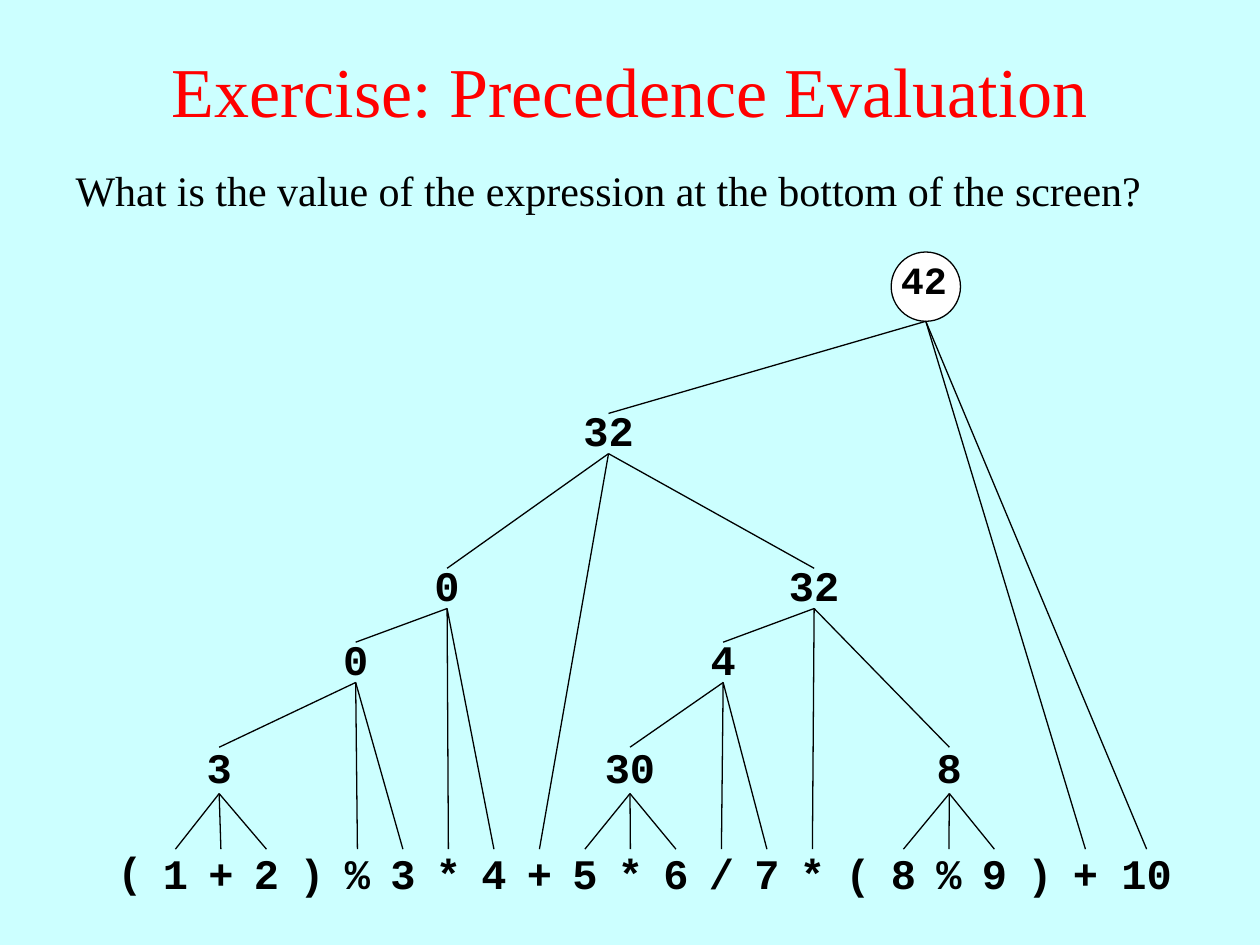
from dataclasses import dataclass

from lxml import etree
from pptx import Presentation
from pptx.dml.color import RGBColor
from pptx.enum.shapes import MSO_CONNECTOR, MSO_SHAPE
from pptx.enum.text import MSO_ANCHOR, MSO_AUTO_SIZE, PP_ALIGN
from pptx.oxml.ns import qn
from pptx.util import Pt

RECT, OVAL = MSO_SHAPE.RECTANGLE, MSO_SHAPE.OVAL
LINE = MSO_CONNECTOR.STRAIGHT
MID, TOP = MSO_ANCHOR.MIDDLE, MSO_ANCHOR.TOP
CENTER, LEFT = PP_ALIGN.CENTER, PP_ALIGN.LEFT
NO_FIT, GROW = MSO_AUTO_SIZE.NONE, MSO_AUTO_SIZE.SHAPE_TO_FIT_TEXT


@dataclass(frozen=True)
class Theme:
    back: RGBColor = RGBColor(0xCC, 0xFF, 0xFF)
    ink: RGBColor = RGBColor(0, 0, 0)
    red: RGBColor = RGBColor(0xFF, 0, 0)
    white: RGBColor = RGBColor(0xFF, 0xFF, 0xFF)
    serif: str = "Times New Roman"
    mono: str = "Courier New"
    head: int = 40
    text: int = 24
    root: int = 22
    rule: float = 0.75


THEME = Theme()

# Expression tokens: a row at an even pitch, the last one set further right
TOKENS = "( 1 + 2 ) % 3 * 4 + 5 * 6 / 7 * ( 8 % 9 ) + 10".split()
ROW_X, ROW_Y, PITCH, LAST_X = 62, 485.25, 26, 643
CELL_W, CELL_H, LOW_H = 24.5, 26.5, 23

# Tree levels: top and height
LEVELS = [(427, CELL_H), (367, LOW_H), (324.75, LOW_H), (236.25, LOW_H)]

# Name: value, middle x, level, children (token index or node name)
NODES = {
    "sum": ("3", 125.25, 0, (1, 2, 3)),
    "mod": ("0", 203.25, 1, ("sum", 5, 6)),
    "left": ("0", 255.5, 2, ("mod", 7, 8)),
    "prod": ("30", 360, 0, (10, 11, 12)),
    "quot": ("4", 413.25, 1, ("prod", 13, 14)),
    "rest": ("8", 542.5, 0, (17, 18, 19)),
    "right": ("32", 465.25, 2, ("quot", 15, "rest")),
    "total": ("32", 347.75, 3, ("left", 9, "right")),
}
ROOT_KIDS = ("total", 21, 22)


def place(shape, x, y, w, h):
    shape.left, shape.top, shape.width, shape.height = map(Pt, (x, y, w, h))


def write(shape, text, size, face, color=THEME.ink, bold=False, align=CENTER,
          anchor=MID, wrap=False, fit=NO_FIT, pitch=1.0):
    frame = shape.text_frame
    frame.text = text
    frame.word_wrap = wrap
    frame.auto_size = fit
    frame.vertical_anchor = anchor
    para = frame.paragraphs[0]
    para.alignment = align
    para.line_spacing = pitch
    para.space_before = Pt(0)
    font = para.runs[0].font
    font.size, font.name, font.bold = Pt(size), face, bold
    font.color.rgb = color


def add_cell(slide, text, x, y, h, pitch=1.0):
    cell = slide.shapes.add_shape(RECT, Pt(x), Pt(y), Pt(CELL_W), Pt(h))
    cell.shadow.inherit = False
    cell.fill.solid()
    cell.fill.fore_color.rgb = THEME.back
    cell.line.fill.background()
    write(cell, text, THEME.text, THEME.mono, bold=True, pitch=pitch)
    return cell


def add_edge(slide, top, kid, joined=True):
    x = top.left + top.width // 2
    y = top.top + top.height
    edge = slide.shapes.add_connector(LINE, x, y, x, y)
    if joined:
        edge.begin_connect(top, 2)
    edge.end_connect(kid, 0)
    edge.line.color.rgb = THEME.ink
    edge.line.width = Pt(THEME.rule)
    etree.SubElement(edge.element.spPr, qn("a:effectLst"))


def add_root(slide):
    disc = slide.shapes.add_shape(OVAL, Pt(509.25), Pt(144), Pt(39.6), Pt(39.6))
    disc.shadow.inherit = False
    disc.fill.solid()
    disc.fill.fore_color.rgb = THEME.white
    disc.line.color.rgb = THEME.ink
    disc.line.width = Pt(THEME.rule)
    return disc


def add_heads(slide):
    title, body = slide.shapes.title, slide.placeholders[1]
    place(title, 0, 6, 720, 90)
    write(title, "Exercise: Precedence Evaluation", THEME.head, THEME.serif,
          THEME.red, wrap=True)
    place(body, 36, 93.5, 648, 33)
    write(body, "What is the value of the expression at the bottom of the screen?",
          THEME.text, THEME.serif, align=LEFT, anchor=TOP, wrap=True,
          fit=GROW, pitch=0.9)
    # The question carries no bullet
    props = body.text_frame.paragraphs[0]._p.get_or_add_pPr()
    props.set("marL", "0")
    props.set("indent", "0")
    etree.SubElement(props, qn("a:buNone"))


def add_tree(slide):
    # Tokens along the bottom
    last = len(TOKENS) - 1
    parts = {}
    for i, token in enumerate(TOKENS):
        x = LAST_X if i == last else ROW_X + i * PITCH
        y = ROW_Y if i else ROW_Y - 1.25
        parts[i] = add_cell(slide, token, x, y, CELL_H)

    # Partial results, children before parents
    for name, (value, mid, level, kids) in NODES.items():
        y, h = LEVELS[level]
        parts[name] = add_cell(slide, value, mid - CELL_W / 2, y, h, 0.85)
        for kid in kids:
            add_edge(slide, parts[name], parts[kid])

    # Final value in a circle
    disc = add_root(slide)
    for kid in ROOT_KIDS:
        add_edge(slide, disc, parts[kid], joined=False)
    label = slide.shapes.add_textbox(Pt(507), Pt(147), Pt(41.75), Pt(31))
    write(label, "42", THEME.root, THEME.mono, bold=True, anchor=TOP,
          wrap=True, fit=GROW, pitch=0.85)


def main():
    deck = Presentation()
    deck.slide_width, deck.slide_height = Pt(720), Pt(540)
    slide = deck.slides.add_slide(deck.slide_layouts[1])
    slide.background.fill.solid()
    slide.background.fill.fore_color.rgb = THEME.back
    add_heads(slide)
    add_tree(slide)
    deck.save("out.pptx")


if __name__ == "__main__":
    main()
